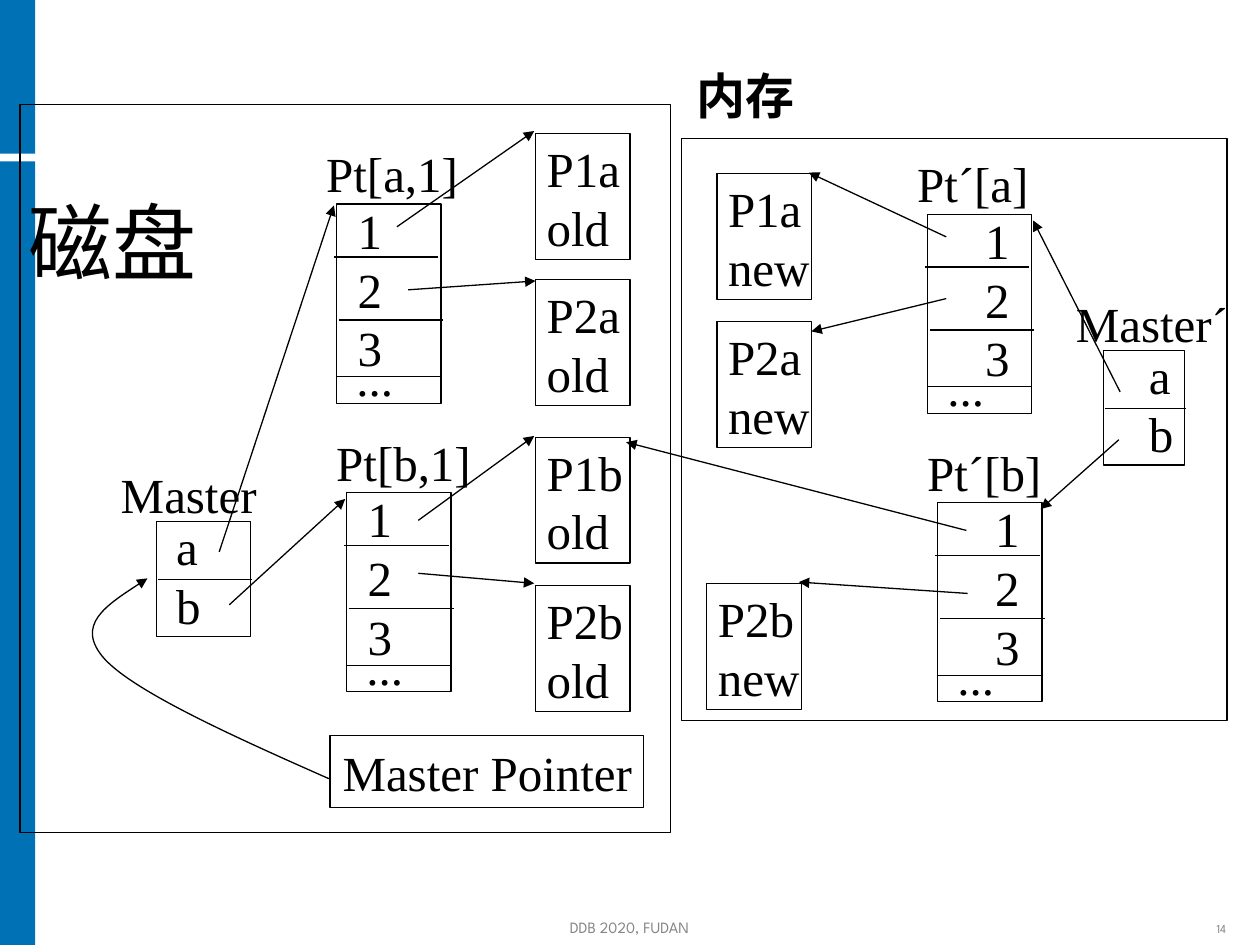
from pptx import Presentation
from pptx.dml.color import RGBColor
from pptx.enum.shapes import MSO_CONNECTOR, MSO_SHAPE
from pptx.enum.text import MSO_ANCHOR, PP_ALIGN
from pptx.oxml.ns import qn
from pptx.util import Inches, Pt
from lxml.etree import SubElement

BLACK, BLUE, GREY = "000000", "0071B4", "848589"


def color(value):
    return RGBColor.from_string(value)


def write(frame, text, size=28, font="Times New Roman", ink=BLACK, bold=False,
          align=PP_ALIGN.LEFT, anchor=MSO_ANCHOR.TOP, wrap=False, indent=0, spacing=1.0):
    """Fill a text frame, one paragraph for each line of text."""
    frame.word_wrap = wrap
    frame.vertical_anchor = anchor
    for index, line in enumerate(text.split("\n")):
        para = frame.add_paragraph() if index else frame.paragraphs[0]
        para.alignment = align
        para.line_spacing = spacing
        if indent:
            para._p.get_or_add_pPr().set("marL", str(Inches(indent)))
        span = para.add_run()
        span.text = line
        span.font.size = Pt(size)
        span.font.name = font
        span.font.bold = bold
        span.font.color.rgb = color(ink)


def add_text(shapes, box, text, **style):
    label = shapes.add_textbox(*map(Inches, box))
    write(label.text_frame, text, **style)


def add_box(shapes, box, fill=None):
    """Outlined empty rectangle, or a filled one without outline."""
    rect = shapes.add_shape(MSO_SHAPE.RECTANGLE, *map(Inches, box))
    rect.shadow.inherit = False
    if fill:
        rect.fill.solid()
        rect.fill.fore_color.rgb = color(fill)
        rect.line.fill.background()
    else:
        rect.fill.background()
        set_line(rect)
    return rect


def set_line(shape, arrow=False):
    shape.line.color.rgb = color(BLACK)
    shape.line.width = Pt(0.75)
    if arrow:
        SubElement(shape.line._get_or_add_ln(), qn("a:tailEnd")).set("type", "triangle")


def add_line(shapes, start, end, arrow=False):
    line = shapes.add_connector(MSO_CONNECTOR.STRAIGHT, *map(Inches, (*start, *end)))
    set_line(line, arrow)
    SubElement(line._element.spPr, qn("a:effectLst"))


def add_curve(shapes, points):
    """Arrow along cubic curves: a start, then three points for each curve."""
    start, *rest = [(Inches(x), Inches(y)) for x, y in points]
    builder = shapes.build_freeform(*start)
    builder.add_line_segments(rest, close=False)
    curve = builder.convert_to_shape()
    curve.shadow.inherit = False
    curve.fill.background()
    set_line(curve, arrow=True)
    outline = curve._element.find(".//" + qn("a:path"))
    steps = outline.findall(qn("a:lnTo"))
    for first in range(0, len(steps), 3):
        bezier = SubElement(outline, qn("a:cubicBezTo"))
        for step in steps[first:first + 3]:
            bezier.append(step[0])
            outline.remove(step)


def add_page_table(page, box, title, indent=0):
    """Page table: title above three numbered rows and a row of dots."""
    left, top, width, _ = box
    shapes = page.shapes.add_group_shape().shapes
    add_text(shapes, (left - 0.18, top - 0.53, 1.35, 0.57), title, wrap=True)
    add_text(shapes, (left + 0.07, top - 0.08, 0.39 + indent, 1.5), "1\n2\n3", indent=indent)
    add_box(shapes, box)
    for shift, drop in ((-0.02, 0.42), (0.02, 0.92), (0, 1.37)):
        add_line(shapes, (left + shift, top + drop), (left + shift + width, top + drop))
    add_text(shapes, (left + 0.06, top + 1.09, 0.49, 0.57), "...")


def add_data_page(page, box, text):
    left, top, width, _ = box
    shapes = page.shapes.add_group_shape().shapes
    add_text(shapes, (left - 0.01, top - 0.01, width + 0.15, 1.04), text, wrap=True)
    add_box(shapes, box)


def add_master(page, box, title, title_left, indent=0):
    """Master record: entries a and b under a title."""
    left, top, width, _ = box
    shapes = page.shapes.add_group_shape().shapes
    add_text(shapes, (left + 0.06, top - 0.09, 0.39 + indent, 1.04), "a\nb", indent=indent)
    add_box(shapes, box)
    add_line(shapes, (left + 0.01, top + 0.46), (left + 0.01 + width, top + 0.46))
    add_text(page.shapes, (title_left, top - 0.5, 1.45, 0.57), title, wrap=True)


def add_frame(page):
    """Side bars, footer and page number."""
    add_box(page.shapes, (0, 1.28, 0.28, 6.22), BLUE)
    add_box(page.shapes, (0, 0, 0.28, 1.22), BLUE)
    small = dict(font="League Spartan", ink=GREY, anchor=MSO_ANCHOR.BOTTOM, wrap=True)
    add_text(page.shapes, (9, 7.23, 0.83, 0.25), "14", size=7,
             align=PP_ALIGN.RIGHT, spacing=0.8, **small)
    add_text(page.shapes, (2.33, 7.23, 5.33, 0.25), "DDB 2020, FUDAN", size=9,
             align=PP_ALIGN.CENTER, **small)


def add_disk(page, box):
    add_box(page.shapes, box)
    add_text(page.shapes, (0.13, 1.46, 1.53, 0.9), "磁盘", size=48)
    add_page_table(page, (2.67, 1.62, 0.83, 1.58), "Pt[a,1]")
    add_page_table(page, (2.75, 3.91, 0.83, 1.58), "Pt[b,1]")
    for name, top in (("P1a", 1.06), ("P2a", 2.22), ("P1b", 3.47), ("P2b", 4.65)):
        add_data_page(page, (4.25, top, 0.75, 1), name + "\nold")
    add_master(page, (1.24, 4.14, 0.75, 0.91), "Master", 0.86)
    pointer = add_box(page.shapes, (2.62, 5.84, 2.49, 0.57))
    write(pointer.text_frame, "Master Pointer")
    add_curve(page.shapes, [(2.61, 6.18), (1.84, 5.84), (1.07, 5.49), (0.83, 5.23),
                            (0.59, 4.96), (0.88, 4.78), (1.17, 4.59)])


def add_memory(page, box):
    add_box(page.shapes, box)
    add_text(page.shapes, (5.43, 0.47, 1.08, 0.57), "内存", font="Cabin", bold=True)
    add_page_table(page, (7.36, 1.7, 0.83, 1.58), "Pt´[a]", indent=0.29)
    add_page_table(page, (7.44, 3.99, 0.83, 1.58), "Pt´[b]", indent=0.29)
    for name, left, top in (("P1a", 5.69, 1.38), ("P2a", 5.69, 2.55), ("P2b", 5.61, 4.63)):
        add_data_page(page, (left, top, 0.75, 1), name + "\nnew")
    add_master(page, (8.76, 2.78, 0.64, 0.91), "Master´", 8.44, indent=0.2)


def add_arrows(page):
    arrows = [
        # disk: master to page tables, page tables to old pages
        ((1.74, 4.38), (2.65, 1.63)), ((1.82, 4.8), (2.74, 3.96)),
        ((3.15, 1.8), (4.24, 1.04)), ((3.24, 2.3), (4.25, 2.23)),
        ((3.32, 4.13), (4.24, 3.46)), ((3.32, 4.55), (4.24, 4.63)),
        # memory: page tables to pages, master to page tables
        ((7.51, 1.88), (6.42, 1.37)), ((7.51, 2.37), (6.44, 2.63)),
        ((7.67, 4.21), (4.97, 3.51)), ((7.68, 4.71), (6.34, 4.62)),
        ((8.89, 3.11), (8.2, 1.75)), ((8.88, 3.49), (8.26, 4.04)),
    ]
    for start, end in arrows:
        add_line(page.shapes, start, end, arrow=True)


def main():
    deck = Presentation()
    deck.slide_width, deck.slide_height = Inches(10), Inches(7.5)
    page = deck.slides.add_slide(deck.slide_layouts[6])
    add_frame(page)
    add_disk(page, (0.16, 0.83, 5.16, 5.78))
    add_memory(page, (5.41, 1.1, 4.33, 4.62))
    add_arrows(page)
    deck.save("out.pptx")


if __name__ == "__main__":
    main()
